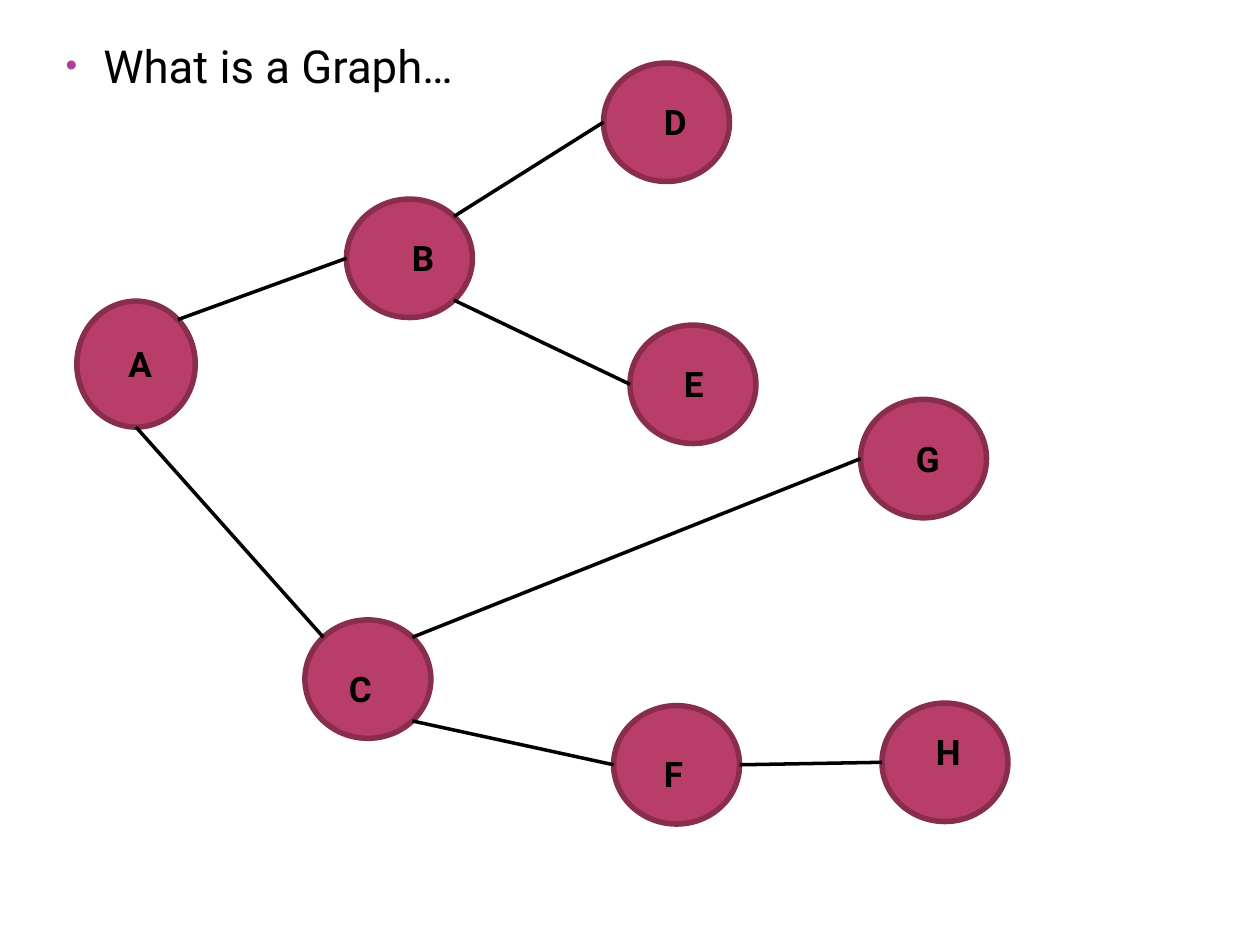
import math

import lxml.etree
import pptx
import pptx.dml.color
import pptx.enum.shapes
import pptx.enum.text
import pptx.oxml.ns
import pptx.util

Inches, Pt = pptx.util.Inches, pptx.util.Pt
RGBColor = pptx.dml.color.RGBColor
qn = pptx.oxml.ns.qn

# Content: node centre, label corner and label width in inches
HEADING = "What is a Graph…"
NODES = {
    "A": ((1.08, 2.89), (0.92, 2.67), 0.38),
    "B": ((3.25, 2.05), (3.17, 1.83), 0.37),
    "C": ((2.92, 5.39), (2.67, 5.25), 0.37),
    "D": ((5.29, 0.97), (5.17, 0.75), 0.38),
    "E": ((5.50, 3.05), (5.33, 2.83), 0.36),
    "F": ((5.37, 6.07), (5.17, 5.92), 0.36),
    "G": ((7.33, 3.64), (7.17, 3.42), 0.39),
    "H": ((7.50, 6.05), (7.33, 5.75), 0.39),
}
# Edges: start node, angle it leaves at, end node, angle it arrives at
# (degrees clockwise from the right-hand side)
EDGES = [
    ("A", 315, "B", 180), ("A", 90, "C", 225),
    ("B", 315, "D", 180), ("B", 45, "E", 180),
    ("C", 315, "G", 180), ("C", 45, "F", 180),
    ("F", 0, "H", 180),
]
UPRIGHT = {"A"}  # the other ellipses lie on their side
NODE_WIDTH, NODE_HEIGHT = 0.94, 1.0
LABEL_HEIGHT = 0.44

FONT = "Roboto"
BLACK = RGBColor(0x00, 0x00, 0x00)
NODE_FILL = RGBColor(0xB8, 0x3D, 0x68)
NODE_LINE = RGBColor(0x88, 0x2D, 0x4D)
BULLET = RGBColor(0xB1, 0x3F, 0x9A)


def style_text(para, size, bold=False):
    para.alignment = pptx.enum.text.PP_ALIGN.LEFT
    for span in para.runs:
        span.font.name = FONT
        span.font.size = Pt(size)
        span.font.bold = bold
        span.font.color.rgb = BLACK


def rim_point(name, angle):
    """Point on a node's outline at the given angle."""
    (x, y), turn = NODES[name][0], math.radians(angle)
    width, height = NODE_WIDTH, NODE_HEIGHT
    if name not in UPRIGHT:
        width, height = height, width
    return (Inches(x + width / 2 * math.cos(turn)),
            Inches(y + height / 2 * math.sin(turn)))


deck = pptx.Presentation()
deck.slide_width, deck.slide_height = Inches(10), Inches(7.5)
page = deck.slides.add_slide(deck.slide_layouts[1])
title = page.shapes.title.element
title.getparent().remove(title)

# Bulleted heading
body = page.placeholders[1]
body.left, body.top = Inches(0.42), Inches(0.25)
body.width, body.height = Inches(8), Inches(6.81)
body.text_frame.text = HEADING
para = body.text_frame.paragraphs[0]
para.space_before = Pt(6)
style_text(para, 26)
props = para._p.get_or_add_pPr()
props.set("marL", str(Inches(0.3)))
props.set("indent", str(-Inches(0.3)))
color = lxml.etree.SubElement(props, qn("a:buClr"))
lxml.etree.SubElement(color, qn("a:srgbClr")).set("val", str(BULLET))
lxml.etree.SubElement(props, qn("a:buSzPct")).set("val", "73000")
lxml.etree.SubElement(props, qn("a:buChar")).set("char", "•")

# Nodes
for name, ((x, y), corner, label_width) in NODES.items():
    node = page.shapes.add_shape(
        pptx.enum.shapes.MSO_SHAPE.OVAL,
        Inches(x - NODE_WIDTH / 2), Inches(y - NODE_HEIGHT / 2),
        Inches(NODE_WIDTH), Inches(NODE_HEIGHT))
    node.rotation = 0 if name in UPRIGHT else 270
    node.shadow.inherit = False
    node.fill.solid()
    node.fill.fore_color.rgb = NODE_FILL
    node.line.color.rgb = NODE_LINE
    node.line.width = Pt(3.15)

# Edges
for start, leave, end, arrive in EDGES:
    edge = page.shapes.add_connector(
        pptx.enum.shapes.MSO_CONNECTOR.STRAIGHT,
        *rim_point(start, leave), *rim_point(end, arrive))
    edge.line.color.rgb = BLACK
    edge.line.width = Pt(2)
    lxml.etree.SubElement(edge.element.spPr, qn("a:effectLst"))

# Labels
for name, (centre, (left, top), width) in NODES.items():
    box = page.shapes.add_textbox(
        Inches(left), Inches(top), Inches(width), Inches(LABEL_HEIGHT))
    frame = box.text_frame
    frame.word_wrap = False
    frame.auto_size = pptx.enum.text.MSO_AUTO_SIZE.SHAPE_TO_FIT_TEXT
    frame.text = name
    style_text(frame.paragraphs[0], 20, bold=True)

deck.save("out.pptx")
